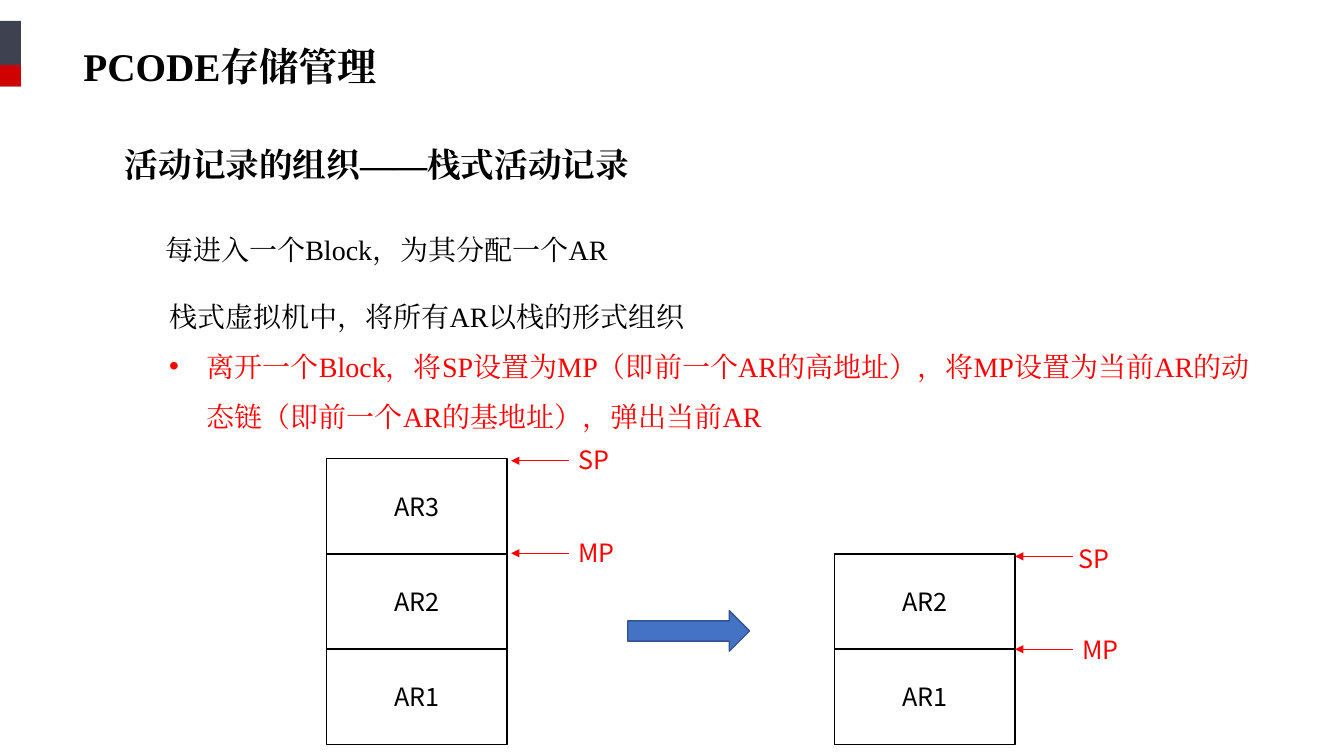
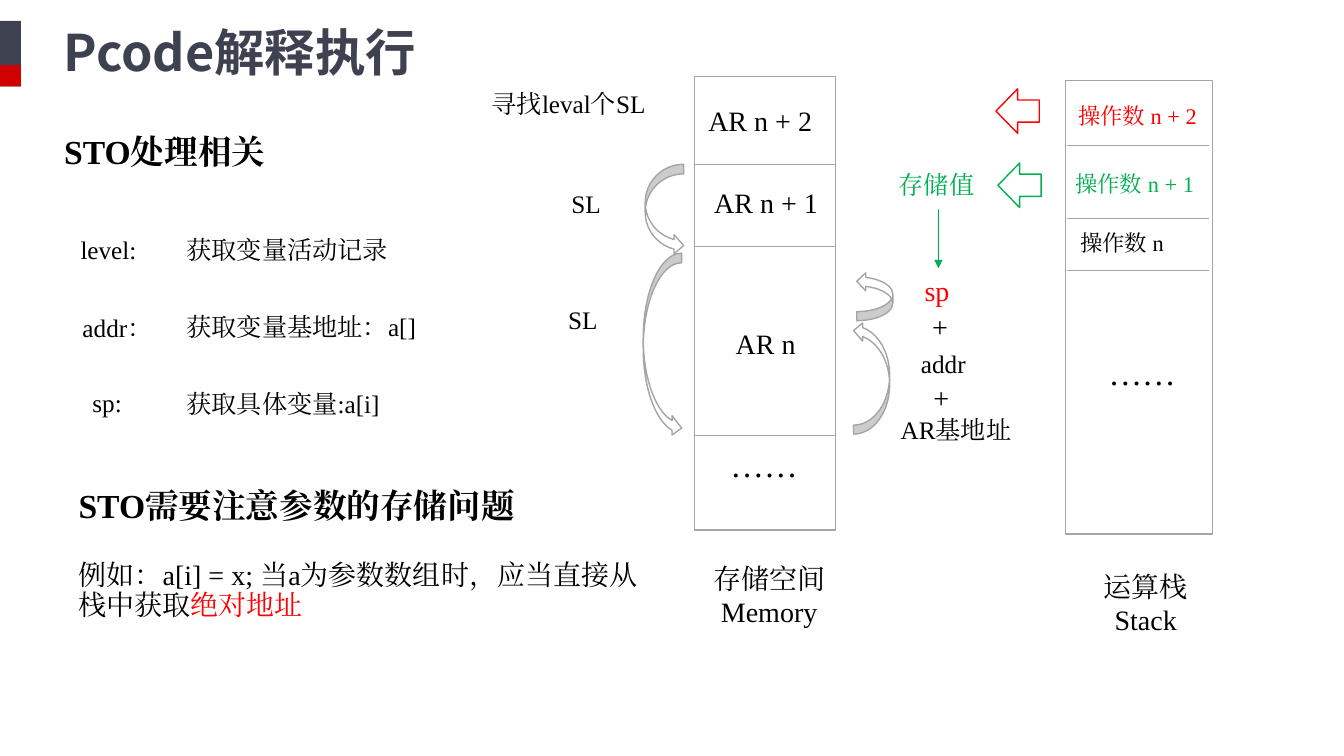
from dataclasses import dataclass

from lxml import etree
from pptx import Presentation
from pptx.dml.color import RGBColor
from pptx.enum.shapes import MSO_CONNECTOR, MSO_SHAPE
from pptx.enum.text import MSO_ANCHOR, MSO_AUTO_SIZE, PP_ALIGN
from pptx.oxml.ns import qn
from pptx.shapes.autoshape import Shape
from pptx.shapes.connector import Connector
from pptx.slide import Slide
from pptx.text.text import TextFrame, _Paragraph
from pptx.util import Cm, Pt

RECTANGLE = MSO_SHAPE.RECTANGLE
RIGHT_ARROW = MSO_SHAPE.RIGHT_ARROW
LEFT_ARROW = MSO_SHAPE.LEFT_ARROW
CURVED_ARROW = MSO_SHAPE.CURVED_RIGHT_ARROW
STRAIGHT = MSO_CONNECTOR.STRAIGHT
LEFT, CENTER = PP_ALIGN.LEFT, PP_ALIGN.CENTER
TOP, MIDDLE = MSO_ANCHOR.TOP, MSO_ANCHOR.MIDDLE
SIDE_TOP, SIDE_BOTTOM = 0, 2
TITLE_ONLY = 5


@dataclass(frozen=True)
class Theme:
    black: str = "000000"
    white: str = "FFFFFF"
    red: str = "FF0000"
    green: str = "00B050"
    gray: str = "A5A5A5"
    slate: str = "3E4150"
    band_red: str = "CF0101"
    blue: str = "4472C4"
    blue_line: str = "325491"
    serif: str = "Times New Roman"
    sans: str = "Noto Sans CJK SC"
    title: int = 36
    small_title: int = 28
    heading: int = 24
    body: int = 20
    label: int = 18
    small: int = 16


THEME = Theme()


@dataclass(frozen=True)
class Box:
    """Left, top, width and height in centimetres."""
    left: float
    top: float
    width: float
    height: float

    def lengths(self) -> tuple[Cm, Cm, Cm, Cm]:
        return Cm(self.left), Cm(self.top), Cm(self.width), Cm(self.height)


@dataclass(frozen=True)
class Label:
    text: str
    left: float
    top: float
    width: float = 4
    size: int = THEME.label
    color: str = THEME.black


@dataclass(frozen=True)
class Pointer:
    name: str
    tip: float
    top: float
    label_left: float
    label_top: float


@dataclass(frozen=True)
class RecordStack:
    left: float
    top: float
    records: tuple[str, ...]
    pointers: tuple[Pointer, ...]


@dataclass(frozen=True)
class Column:
    box: Box
    divider_left: float
    dividers: tuple[float, ...]


@dataclass(frozen=True)
class BlockArrow:
    kind: MSO_SHAPE
    box: Box
    line: str = THEME.gray
    rotation: int = 0


RECORD_WIDTH, RECORD_HEIGHT = 4.55, 2.4
POINTER_LENGTH = 1.45
DIVIDER_WIDTH = 3.56

RECORD_STACKS = (
    RecordStack(8.23, 11.56, ("AR3", "AR2", "AR1"), (
        Pointer("SP", 12.88, 11.61, 14.33, 11.07),
        Pointer("MP", 12.88, 13.94, 14.33, 13.41))),
    RecordStack(21.03, 13.96, ("AR2", "AR1"), (
        Pointer("SP", 25.58, 14.02, 26.92, 13.56),
        Pointer("MP", 25.58, 16.36, 27.03, 15.85))),
)

COLUMNS = (
    Column(Box(17.5, 1.93, 3.56, 11.43), 17.48, (4.14, 6.2, 10.97)),
    Column(Box(26.85, 2.03, 3.71, 11.43), 26.9, (3.66, 5.49, 6.81)),
)

BLOCK_ARROWS = (
    BlockArrow(CURVED_ARROW, Box(16.26, 4.14, 0.97, 2.29)),
    BlockArrow(CURVED_ARROW, Box(16.21, 6.38, 0.97, 4.65)),
    BlockArrow(CURVED_ARROW, Box(21.51, 8.1, 0.91, 2.84), rotation=180),
    BlockArrow(CURVED_ARROW, Box(21.59, 6.86, 0.91, 1.22), rotation=180),
    BlockArrow(LEFT_ARROW, Box(25.1, 2.24, 1.09, 1.12), THEME.red),
    BlockArrow(LEFT_ARROW, Box(25.15, 4.11, 1.09, 1.12), THEME.green),
)

LABELS = (
    Label("AR n + 2", 17.6, 2.49, size=THEME.body),
    Label("AR n + 1", 17.75, 4.55, size=THEME.body),
    Label("AR n", 18.29, 8.1, size=THEME.body),
    Label("……", 18.16, 11.05, size=THEME.heading),
    Label("操作数 n + 2", 26.92, 2.46, size=THEME.small, color=THEME.red),
    Label("操作数 n + 1", 26.85, 4.17, size=THEME.small, color=THEME.green),
    Label("操作数 n", 26.97, 5.66, size=THEME.small),
    Label("……", 27.69, 8.74, size=THEME.heading),
    Label("level:", 1.78, 5.79),
    Label("获取变量活动记录", 4.45, 5.79, 8.6),
    Label("addr：", 1.83, 7.75),
    Label("获取变量基地址：a[]", 4.45, 7.72, 8.6),
    Label("sp:", 2.08, 9.63),
    Label("获取具体变量:a[i]", 4.45, 9.65, 8.6),
    Label("寻找leval个SL", 12.14, 2.11, 6),
    Label("SL", 14.15, 4.62),
    Label("SL", 14.07, 7.54),
    Label("+", 23.24, 7.67, size=THEME.body),
    Label("addr", 22.96, 8.66),
    Label("+", 23.27, 9.47, size=THEME.body),
    Label("AR基地址", 22.45, 10.31),
)


def add_run(paragraph: _Paragraph, text: str, *, size: int = THEME.body,
            color: str = THEME.black, bold: bool = False,
            font: str = THEME.serif) -> None:
    run = paragraph.add_run()
    run.text = text
    run.font.size = Pt(size)
    run.font.bold = bold
    run.font.color.rgb = RGBColor.from_string(color)
    run.font.name = font
    east_asian = etree.SubElement(run.font._element, qn("a:ea"))
    east_asian.set("typeface", font)


def write(frame: TextFrame, text: str, *, align: PP_ALIGN = LEFT,
          spacing: float = 1.0, before: int = 0, **run_format) -> _Paragraph:
    """Fill the frame's empty first paragraph, or add one after the others."""
    paragraph = frame.paragraphs[0]
    if paragraph.runs:
        paragraph = frame.add_paragraph()
    paragraph.alignment = align
    paragraph.line_spacing = spacing
    paragraph.space_before = Pt(before)
    add_run(paragraph, text, **run_format)
    return paragraph


def prepare(frame: TextFrame, anchor: MSO_ANCHOR = TOP) -> TextFrame:
    frame.word_wrap = True
    frame.auto_size = MSO_AUTO_SIZE.NONE
    frame.vertical_anchor = anchor
    return frame


def add_text(slide: Slide, box: Box, text: str, **text_format) -> Shape:
    shape = slide.shapes.add_textbox(*box.lengths())
    write(prepare(shape.text_frame), text, **text_format)
    return shape


def add_bullet(paragraph: _Paragraph, indent: Cm) -> None:
    properties = paragraph._p.get_or_add_pPr()
    properties.set("marL", str(indent))
    properties.set("indent", str(-indent))
    font = etree.SubElement(properties, qn("a:buFont"))
    font.set("typeface", "Arial")
    etree.SubElement(properties, qn("a:buChar")).set("char", "•")


def add_shape(slide: Slide, kind: MSO_SHAPE, box: Box, *,
              fill: str | None = None, line: str | None = None) -> Shape:
    shape = slide.shapes.add_shape(kind, *box.lengths())
    shape.shadow.inherit = False
    if fill:
        shape.fill.solid()
        shape.fill.fore_color.rgb = RGBColor.from_string(fill)
    else:
        shape.fill.background()
    if line:
        shape.line.color.rgb = RGBColor.from_string(line)
        shape.line.width = Pt(1)
    else:
        shape.line.fill.background()
    return shape


def add_line(slide: Slide, start: tuple[float, float], end: tuple[float, float],
             color: str, *, width: float = 0.5, arrow: bool = False) -> Connector:
    points = [Cm(value) for value in (*start, *end)]
    connector = slide.shapes.add_connector(STRAIGHT, *points)
    connector.line.color.rgb = RGBColor.from_string(color)
    connector.line.width = Pt(width)
    if arrow:
        tail = etree.SubElement(connector.line._get_or_add_ln(), qn("a:tailEnd"))
        tail.set("type", "triangle")
    etree.SubElement(connector._element.spPr, qn("a:effectLst"))
    return connector


def start_slide(presentation: Presentation, title: str, box: Box,
                **title_format) -> Slide:
    """Add a slide with its title and the two-colour band at the left edge."""
    slide = presentation.slides.add_slide(presentation.slide_layouts[TITLE_ONLY])
    placeholder = slide.shapes.title
    (placeholder.left, placeholder.top,
     placeholder.width, placeholder.height) = box.lengths()
    write(prepare(placeholder.text_frame), title, spacing=0.9, bold=True,
          **title_format)
    add_shape(slide, RECTANGLE, Box(0, 0.53, 0.53, 1.65), fill=THEME.slate)
    add_shape(slide, RECTANGLE, Box(0, 1.64, 0.53, 0.54), fill=THEME.band_red)
    return slide


def draw_record_stack(slide: Slide, stack: RecordStack) -> None:
    for row, record in enumerate(stack.records):
        box = Box(stack.left, stack.top + row * RECORD_HEIGHT,
                  RECORD_WIDTH, RECORD_HEIGHT)
        shape = add_shape(slide, RECTANGLE, box, line=THEME.black)
        write(prepare(shape.text_frame, MIDDLE), record, align=CENTER,
              size=THEME.label, font=THEME.sans)
    for pointer in stack.pointers:
        add_line(slide, (pointer.tip + POINTER_LENGTH, pointer.top),
                 (pointer.tip, pointer.top), THEME.red, arrow=True)
        add_text(slide, Box(pointer.label_left, pointer.label_top, 1.8, 1.02),
                 pointer.name, size=THEME.label, color=THEME.red, font=THEME.sans)


def draw_storage_slide(presentation: Presentation) -> None:
    slide = start_slide(presentation, "PCODE存储管理", Box(1.85, 1.07, 30.15, 1.78),
                        size=THEME.small_title)
    add_text(slide, Box(2.9, 3.61, 14.45, 1.45), "活动记录的组织——栈式活动记录",
             size=THEME.heading, bold=True, spacing=0.9)
    add_text(slide, Box(3.91, 5.31, 21.49, 1.78),
             "每进入一个Block，为其分配一个AR", spacing=1.5)
    rules = add_text(slide, Box(4.01, 6.99, 27.74, 5.36),
                     "栈式虚拟机中，将所有AR以栈的形式组织", spacing=1.5)
    leaving = write(rules.text_frame,
                    "离开一个Block，将SP设置为MP（即前一个AR的高地址），"
                    "将MP设置为当前AR的动态链（即前一个AR的基地址），弹出当前AR",
                    spacing=1.5, color=THEME.red)
    add_bullet(leaving, Cm(0.95))
    for stack in RECORD_STACKS:
        draw_record_stack(slide, stack)
    add_shape(slide, RIGHT_ARROW, Box(15.82, 15.39, 3.07, 1.02),
              fill=THEME.blue, line=THEME.blue_line)


def draw_execution_slide(presentation: Presentation) -> None:
    slide = start_slide(presentation, "Pcode解释执行", Box(1.35, 0.58, 20.35, 1.8),
                        size=THEME.title, color=THEME.slate, font=THEME.sans)
    add_text(slide, Box(1.37, 3.3, 15.14, 1.45), "STO处理相关",
             size=THEME.heading, bold=True, spacing=0.9)
    for column in COLUMNS:
        add_shape(slide, RECTANGLE, column.box, fill=THEME.white, line=THEME.gray)
        for top in column.dividers:
            add_line(slide, (column.divider_left, top),
                     (column.divider_left + DIVIDER_WIDTH, top), THEME.gray)
    for arrow in BLOCK_ARROWS:
        shape = add_shape(slide, arrow.kind, arrow.box,
                          fill=THEME.white, line=arrow.line)
        shape.rotation = arrow.rotation
    for label in LABELS:
        add_text(slide, Box(label.left, label.top, label.width, 1.02), label.text,
                 size=label.size, color=label.color)
    for left, top, name, translation in ((17.48, 14.02, "存储空间", "Memory"),
                                         (26.97, 14.22, "运算栈", "Stack")):
        caption = add_text(slide, Box(left, top, 3.81, 1.96), name, align=CENTER)
        write(caption.text_frame, translation, align=CENTER)

    stored_value = add_text(slide, Box(22.4, 4.14, 2.5, 1.14), "存储值",
                            size=THEME.label, color=THEME.green)
    stack_pointer = add_text(slide, Box(23.05, 6.76, 1.2, 1.12), "sp",
                             color=THEME.red)
    store = add_line(slide, (23.65, 5.28), (23.65, 6.76), THEME.green,
                     width=0.75, arrow=True)
    store.begin_connect(stored_value, SIDE_BOTTOM)
    store.end_connect(stack_pointer, SIDE_TOP)

    note = add_text(slide, Box(1.73, 12.22, 15.14, 4.65), "STO需要注意参数的存储问题",
                    size=THEME.heading, bold=True, spacing=0.9)
    example = write(note.text_frame,
                    "例如：a[i] = x; 当a为参数数组时，应当直接从栈中获取",
                    spacing=0.9, before=25)
    add_run(example, "绝对地址", color=THEME.red)


def main() -> None:
    presentation = Presentation()
    presentation.slide_width, presentation.slide_height = Cm(33.87), Cm(19.05)
    draw_storage_slide(presentation)
    draw_execution_slide(presentation)
    presentation.save("out.pptx")


if __name__ == "__main__":
    main()
